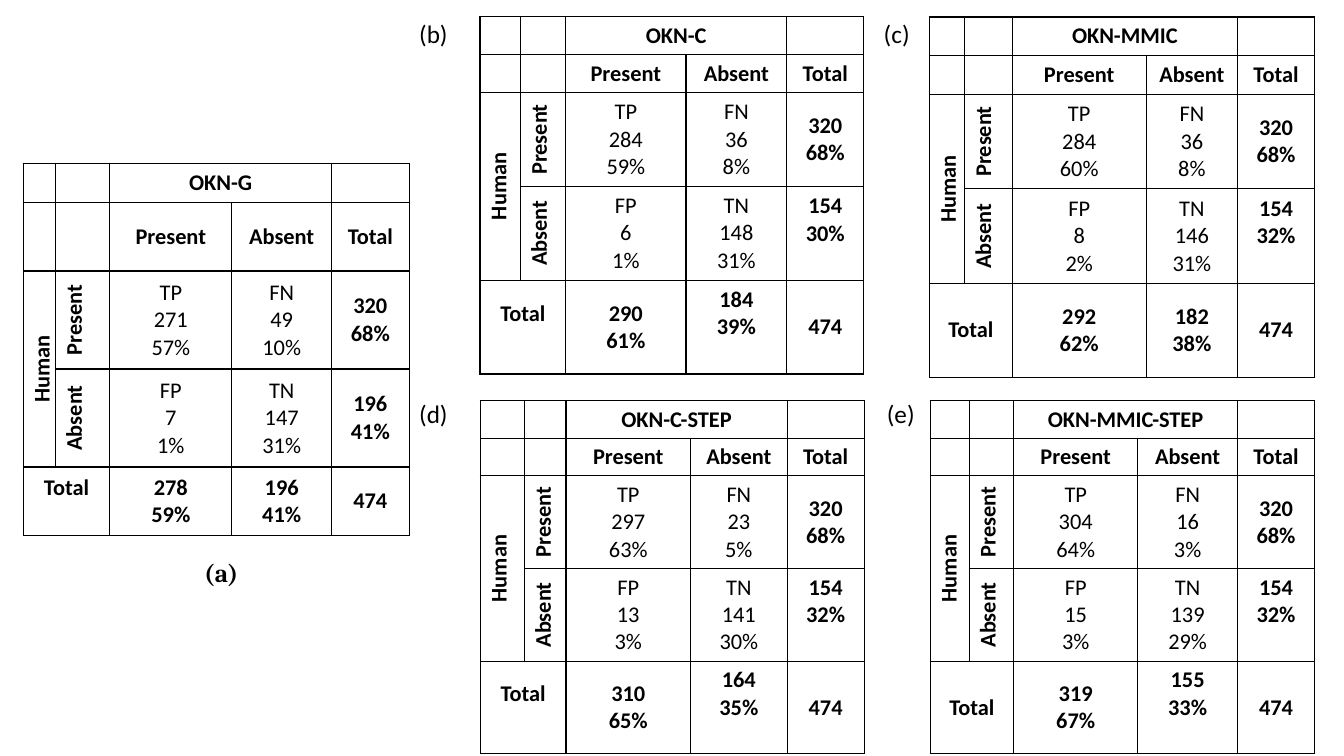
import pptx
import pptx.dml.color
import pptx.enum.text
import pptx.oxml
import pptx.oxml.ns
import pptx.util

Pt = pptx.util.Pt
ALIGN = pptx.enum.text.PP_ALIGN
MIDDLE = pptx.enum.text.MSO_ANCHOR.MIDDLE
COLORS = {"ink": "000000"}
LINE = 19.5  # height of one text line, in points

# Each grid: title, place, column widths, row heights, the four counts with
# their shares, row totals, column totals, and cells set half a line higher.
GRIDS = [
    dict(title="OKN-G", at=(16.6, 116.6), cols=(23, 38.9, 87.1, 71.3, 55.4),
         rows=(28, 49, 70, 70, 49),
         counts=("271 57%", "49 10%", "7 1%", "147 31%"),
         sides=("320 68%", "196 41%"), sums=("278 59%", "196 41%"),
         high={(4, 0)}),
    dict(title="OKN-C", at=(342.9, 11.8), cols=(28.8, 32.4, 85.9, 72, 55),
         rows=(27.2, 27.2, 67, 67, 67),
         counts=("284 59%", "36 8%", "6 1%", "148 31%"),
         sides=("320 68%", "154 30%"), sums=("290 61%", "184 39%"),
         high={(3, 4), (4, 0), (4, 3)}),
    dict(title="OKN-MMIC", at=(664, 12.2), cols=(25.2, 33.8, 95.8, 65.2, 55),
         rows=(27.3, 27.8, 67.6, 67.6, 67),
         counts=("284 60%", "36 8%", "8 2%", "146 31%"),
         sides=("320 68%", "154 32%"), sums=("292 62%", "182 38%"),
         high={(3, 4)}),
    dict(title="OKN-C-STEP", at=(343.1, 286.2), cols=(31.5, 29.7, 89, 69, 55),
         rows=(26.9, 26.7, 66.2, 66.2, 66.2),
         counts=("297 63%", "23 5%", "13 3%", "141 30%"),
         sides=("320 68%", "154 32%"), sums=("310 65%", "164 35%"),
         high={(3, 4), (4, 0), (4, 3)}),
    dict(title="OKN-MMIC-STEP", at=(664.4, 286.2),
         cols=(28, 31.7, 88.6, 71.3, 55),
         rows=(26.9, 26.7, 66.2, 66.2, 66.2),
         counts=("304 64%", "16 3%", "15 3%", "139 29%"),
         sides=("320 68%", "154 32%"), sums=("319 67%", "155 33%"),
         high={(3, 4), (4, 3)}),
]

LABELS = [
    ("(a)", 139, 394.6, 40.3, "Cambria", True),
    ("(b)", 292.3, 9.4, 35.3, "Calibri", False),
    ("(c)", 624.2, 9.4, 33.1, "Calibri", False),
    ("(d)", 292.3, 280.8, 35.3, "Calibri", False),
    ("(e)", 626.4, 280.8, 34.6, "Calibri", False),
]


def write(frame, lines, size=16, font="Calibri", bold=True, align=ALIGN.CENTER):
    """Put each line in its own paragraph."""
    for i, line in enumerate(lines):
        para = frame.add_paragraph() if i else frame.paragraphs[0]
        para.alignment = align
        run = para.add_run()
        run.text = line
        run.font.size = Pt(size)
        run.font.name = font
        run.font.bold = bold
        run.font.color.rgb = pptx.dml.color.RGBColor.from_string(COLORS["ink"])


def frame_cell(cell):
    """Draw all four borders and clear the fill."""
    props = cell._tc.get_or_add_tcPr()
    for side in "LRTB":
        props.append(pptx.oxml.parse_xml(
            f'<a:ln{side} {pptx.oxml.ns.nsdecls("a")} w="{Pt(1)}">'
            f'<a:solidFill><a:srgbClr val="{COLORS["ink"]}"/></a:solidFill>'
            f'</a:ln{side}>'))
    cell.fill.background()


def cell_texts(grid):
    """Map each filled cell (row, column) to its text."""
    texts = {(0, 2): grid["title"], (1, 2): "Present", (1, 3): "Absent",
             (1, 4): "Total", (2, 0): "Human", (2, 1): "Present",
             (3, 1): "Absent", (4, 0): "Total", (4, 4): "474"}
    for i, (kind, count) in enumerate(zip(("TP", "FN", "FP", "TN"), grid["counts"])):
        texts[2 + i // 2, 2 + i % 2] = f"{kind} {count}"
    for i in range(2):
        texts[2 + i, 4] = grid["sides"][i]
        texts[4, 2 + i] = grid["sums"][i]
    return texts


def add_grid(slide, grid):
    cols, rows = grid["cols"], grid["rows"]
    left, top = grid["at"]
    table = slide.shapes.add_table(len(rows), len(cols), Pt(left), Pt(top),
                                   Pt(sum(cols)), Pt(sum(rows))).table
    table.first_row = table.horz_banding = False
    for col, width in zip(table.columns, cols):
        col.width = Pt(width)
    for row, height in zip(table.rows, rows):
        row.height = Pt(height)
    texts = cell_texts(grid)
    for r in range(len(rows)):
        for c in range(len(cols)):
            cell = table.cell(r, c)
            frame_cell(cell)
            cell.vertical_anchor = MIDDLE
            if (r, c) not in texts:
                cell.margin_top = cell.margin_bottom = 0
                continue
            inner = r in (2, 3) and c in (2, 3)
            write(cell.text_frame, texts[r, c].split(), bold=not inner)
            if r in (2, 3) and c < 2:
                cell._tc.get_or_add_tcPr().set("vert", "vert270")
            if (r, c) in grid["high"]:
                cell.margin_bottom = Pt(3.6 + LINE)
    for start, end in (((0, 2), (0, 3)), ((2, 0), (3, 0)), ((4, 0), (4, 1))):
        table.cell(*start).merge(table.cell(*end))


def add_label(slide, text, left, top, width, font, bold):
    box = slide.shapes.add_textbox(Pt(left), Pt(top), Pt(width), Pt(29))
    box.text_frame.word_wrap = False
    box.text_frame.auto_size = pptx.enum.text.MSO_AUTO_SIZE.SHAPE_TO_FIT_TEXT
    write(box.text_frame, [text], size=18, font=font, bold=bold, align=ALIGN.LEFT)


def main():
    deck = pptx.Presentation()
    deck.slide_width, deck.slide_height = Pt(960), Pt(540)
    slide = deck.slides.add_slide(deck.slide_layouts[6])
    for grid in GRIDS:
        add_grid(slide, grid)
    for label in LABELS:
        add_label(slide, *label)
    deck.save("out.pptx")


if __name__ == "__main__":
    main()
